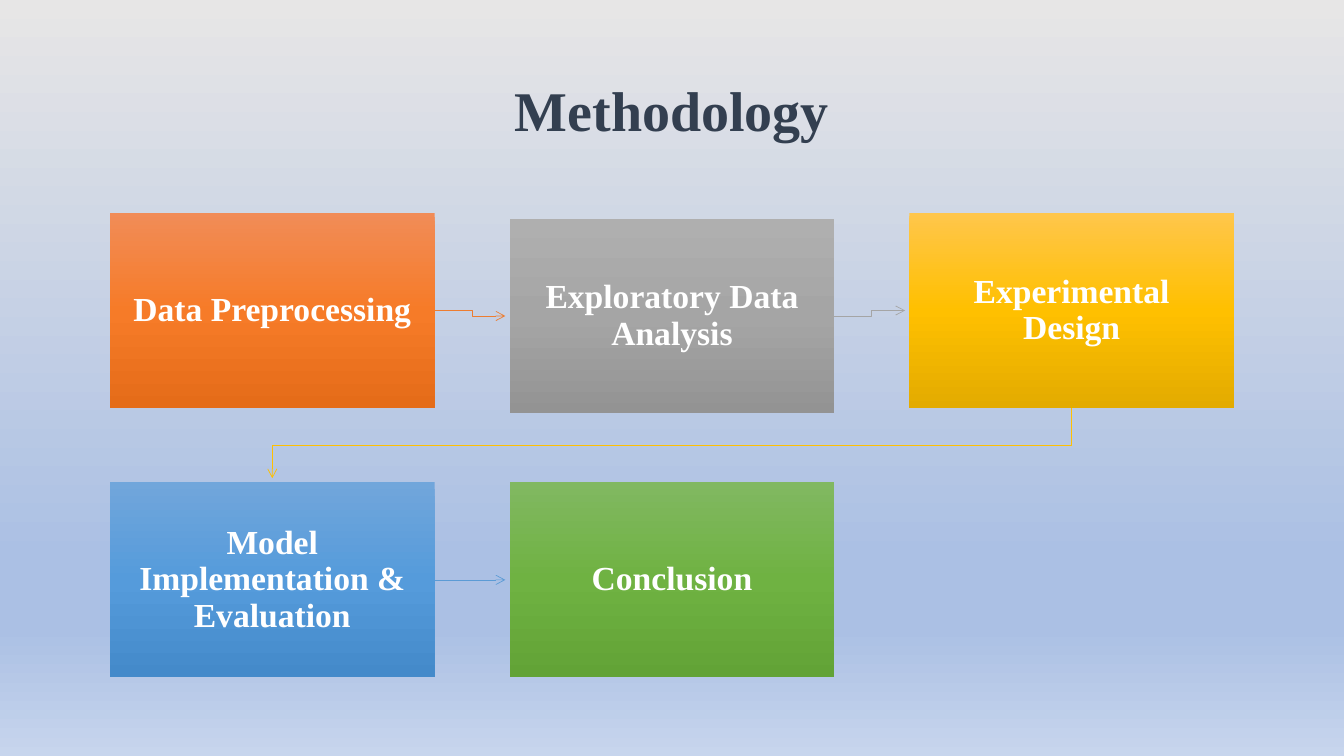
from lxml import etree
from pptx import Presentation
from pptx.dml.color import RGBColor
from pptx.enum.shapes import MSO_CONNECTOR, MSO_SHAPE
from pptx.enum.text import MSO_ANCHOR, PP_ALIGN
from pptx.oxml.ns import qn
from pptx.util import Pt

RECT = MSO_SHAPE.RECTANGLE
STRAIGHT = MSO_CONNECTOR.STRAIGHT
MIDDLE = MSO_ANCHOR.MIDDLE
CENTER = PP_ALIGN.CENTER

FONT = "Times New Roman"
WHITE = RGBColor(0xFF, 0xFF, 0xFF)
NAVY = RGBColor(0x33, 0x3F, 0x50)
ORANGE = RGBColor(0xED, 0x7D, 0x31)
GRAY = RGBColor(0xA5, 0xA5, 0xA5)
GOLD = RGBColor(0xFF, 0xC0, 0x00)
BLUE = RGBColor(0x5B, 0x9B, 0xD5)
SKY = RGBColor(0xAB, 0xC0, 0xE4)
BACKDROP = [(0, RGBColor(0xE7, 0xE6, 0xE6)), (74, SKY), (83, SKY),
            (100, RGBColor(0xC7, 0xD5, 0xED))]
ORANGE_FADE = [(0, RGBColor(0xF1, 0x8C, 0x57)), (50, RGBColor(0xF6, 0x7B, 0x28)),
               (100, RGBColor(0xE5, 0x6C, 0x19))]
GRAY_FADE = [(0, RGBColor(0xAF, 0xAF, 0xAF)), (50, GRAY),
             (100, RGBColor(0x93, 0x93, 0x93))]
GOLD_FADE = [(0, RGBColor(0xFF, 0xC6, 0x4B)), (50, GOLD),
             (100, RGBColor(0xE3, 0xAB, 0x00))]
BLUE_FADE = [(0, RGBColor(0x71, 0xA6, 0xDB)), (50, RGBColor(0x55, 0x9B, 0xDB)),
             (100, RGBColor(0x44, 0x8A, 0xCA))]
GREEN_FADE = [(0, RGBColor(0x81, 0xB8, 0x61)), (50, RGBColor(0x6F, 0xB2, 0x42)),
              (100, RGBColor(0x62, 0xA3, 0x36))]

# Steps: text, gradient, column, row, downward shift, colour of the arrow leaving it
STEPS = [
    ("Data Preprocessing", ORANGE_FADE, 0, 0, 0, ORANGE),
    ("Exploratory Data Analysis", GRAY_FADE, 1, 0, 3.9, GRAY),
    ("Experimental Design", GOLD_FADE, 2, 0, 0, GOLD),
    ("Model Implementation & Evaluation", BLUE_FADE, 0, 1, 0, BLUE),
    ("Conclusion", GREEN_FADE, 1, 1, 0, None),
]
STEP_W, STEP_H = 232, 139.2
ARROW_GAP = 3


def write_text(sp, text, size, color, inset):
    tf = sp.text_frame
    tf.word_wrap = True
    tf.vertical_anchor = MIDDLE
    tf.margin_left = tf.margin_right = Pt(inset)
    tf.margin_top = tf.margin_bottom = Pt(inset)
    p = tf.paragraphs[0]
    p.alignment = CENTER
    p.line_spacing = 0.9
    r = p.add_run()
    r.text = text
    r.font.name = FONT
    r.font.size = Pt(size)
    r.font.bold = True
    r.font.color.rgb = color


def paint_gradient(owner, fill, stops):
    """Fill from top to bottom with any number of stops."""
    fill.gradient()
    fill.gradient_angle = 270
    stop_list = next(owner.element.iter(qn("a:gsLst")))
    for stop in list(stop_list):
        stop_list.remove(stop)
    for percent, color in stops:
        stop = etree.SubElement(stop_list, qn("a:gs"), pos=str(percent * 1000))
        etree.SubElement(stop, qn("a:srgbClr"), val=str(color))


def add_title(s, x, y, w, h):
    sp = s.shapes.add_textbox(Pt(x), Pt(y), Pt(w), Pt(h))
    write_text(sp, "Methodology", size=40, color=NAVY, inset=5)


def add_step(s, x, y, text, stops):
    sp = s.shapes.add_shape(RECT, Pt(x), Pt(y), Pt(STEP_W), Pt(STEP_H))
    sp.shadow.inherit = False
    sp.line.fill.background()
    paint_gradient(sp, sp.fill, stops)
    write_text(sp, text, size=24, color=WHITE, inset=13.5)


def arrow_route(start, end):
    """Points from one step to the next, bending halfway across the gap."""
    (x1, y1), (x2, y2) = start, end
    if x2 > x1:
        left, right = x1 + STEP_W, x2 - ARROW_GAP
        mid = (x1 + STEP_W + x2) / 2
        y1, y2 = y1 + STEP_H / 2, y2 + STEP_H / 2
        bend = [] if y1 == y2 else [(mid, y1), (mid, y2)]
        return [(left, y1), *bend, (right, y2)]
    x1, x2 = x1 + STEP_W / 2, x2 + STEP_W / 2
    mid = (y1 + STEP_H + y2) / 2
    return [(x1, y1 + STEP_H), (x1, mid), (x2, mid), (x2, y2 - ARROW_GAP)]


def add_arrow(s, route, color):
    points = [(Pt(x), Pt(y)) for x, y in route]
    if len(points) == 2:
        sp = s.shapes.add_connector(STRAIGHT, *points[0], *points[1])
        etree.SubElement(sp.element.spPr, qn("a:effectLst"))
    else:
        builder = s.shapes.build_freeform(*points[0])
        builder.add_line_segments(points[1:], close=False)
        sp = builder.convert_to_shape()
        sp.fill.background()
        sp.shadow.inherit = False
    sp.line.color.rgb = color
    sp.line.width = Pt(0.5)
    ln = next(sp.element.iter(qn("a:ln")))
    etree.SubElement(ln, qn("a:tailEnd"), type="arrow")


def add_process(s, x, y, w, h):
    """Lay the steps out in three columns and two rows inside the box."""
    col_pitch = (w - STEP_W) / 2
    row_pitch = h - STEP_H
    places = [(x + col * col_pitch, y + row * row_pitch + shift)
              for _, _, col, row, shift, _ in STEPS]
    # Arrows
    for step, start, end in zip(STEPS, places, places[1:]):
        add_arrow(s, arrow_route(start, end), step[-1])
    # Boxes
    for (text, stops, *_), place in zip(STEPS, places):
        add_step(s, *place, text, stops)


def main():
    prs = Presentation()
    prs.slide_width, prs.slide_height = Pt(960), Pt(540)
    s = prs.slides.add_slide(prs.slide_layouts[6])
    paint_gradient(s, s.background.fill, BACKDROP)
    add_title(s, 66, 28.75, 828, 104.4)
    add_process(s, 78.5, 152.2, 803, 331.6)
    prs.save("out.pptx")


if __name__ == "__main__":
    main()
